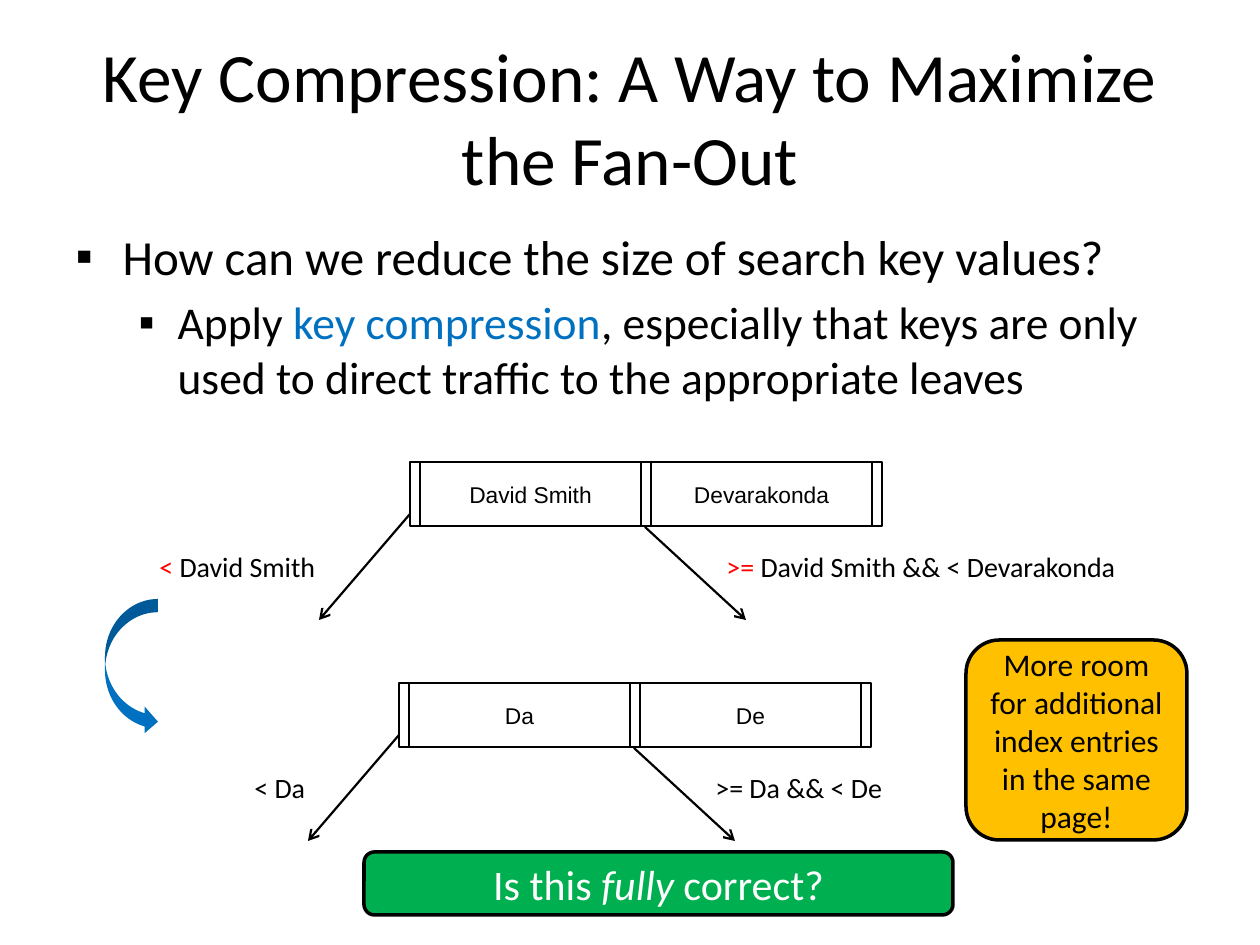
from pptx import Presentation
from pptx.util import Pt, Emu
from pptx.dml.color import RGBColor
from pptx.enum.shapes import MSO_SHAPE, MSO_CONNECTOR
from pptx.enum.text import PP_ALIGN, MSO_ANCHOR
from pptx.oxml.ns import qn
from lxml.etree import SubElement

BLACK = RGBColor(0, 0, 0)
WHITE = RGBColor(255, 255, 255)
RED = RGBColor(255, 0, 0)
BLUE = RGBColor(0, 0x70, 0xC0)
GOLD = RGBColor(255, 0xC0, 0)
GREEN = RGBColor(0, 0xB0, 0x50)
SCALE = 914400 / 126


def px(*values):
    """Turn pixel lengths into EMU."""
    return [Emu(round(v * SCALE)) for v in values]


def write(para, runs, size, color=BLACK, face="Calibri"):
    """Fill a paragraph with (text, colour) runs; None keeps its colour."""
    para.font.size = Pt(size)
    para.font.name = face
    para.font.color.rgb = color
    for text, tint in runs:
        run = para.add_run()
        run.text = text
        if tint is not None:
            run.font.color.rgb = tint


deck = Presentation()
deck.slide_width, deck.slide_height = px(1260, 945)
slide = deck.slides.add_slide(deck.slide_layouts[1])
shapes = slide.shapes

# Title and bullets
title, body = slide.placeholders
title.left, title.top, title.width, title.height = px(63, 38, 1134, 157)
title.text_frame.vertical_anchor = MSO_ANCHOR.MIDDLE
head = title.text_frame.paragraphs[0]
head.alignment = PP_ALIGN.CENTER
write(head, [("Key Compression: A Way to Maximize the Fan-Out", None)], 39.6)

body.left, body.top, body.width, body.height = px(63, 220, 1176, 683)
bullets = [
    (28, 47, 47, [("How can we reduce the size of search key values?", None)]),
    (26, 102, 39, [("Apply ", None), ("key compression", BLUE),
                   (", especially that keys are only used to direct traffic "
                    "to the appropriate leaves", None)]),
]
for level, (size, margin, hang, runs) in enumerate(bullets):
    frame = body.text_frame
    para = frame.add_paragraph() if level else frame.paragraphs[0]
    para.level = level
    write(para, runs, size)
    props = para._p.get_or_add_pPr()
    left, indent = px(margin, -hang)
    props.set("marL", str(left))
    props.set("indent", str(indent))
    mark = SubElement(props, qn("a:buChar"))
    mark.set("char", "▪")
    props.insert(0, mark)

# Index nodes: position, keys, and the labels of both branches
nodes = [
    (410, 462, ["David Smith", "Devarakonda"],
     (183, [("<", RED), (" David Smith", None)]),
     (420, [(">=", RED), (" David Smith && < Devarakonda", None)])),
    (399, 683, ["Da", "De"],
     (77, [("< Da", None)]),
     (194, [(">= Da && < De", None)])),
]
for x, y, keys, low, mid in nodes:
    for i, key in enumerate(keys):
        cell = shapes.add_shape(MSO_SHAPE.RECTANGLE,
                                *px(x + 231 * i, y, 241, 64))
        cell.shadow.inherit = False
        cell.fill.background()
        cell.line.color.rgb = BLACK
        cell.line.width = Pt(1)
        cell.text_frame.vertical_anchor = MSO_ANCHOR.MIDDLE
        para = cell.text_frame.paragraphs[0]
        para.alignment = PP_ALIGN.CENTER
        write(para, [(key, None)], 13, face="Arial")

    lines = [
        (10, 0, 10, 64, False),
        (462, 0, 462, 64, False),
        (0, 52, -91, 158, True),
        (235, 65, 336, 158, True),
    ]
    for x1, y1, x2, y2, arrow in lines:
        line = shapes.add_connector(MSO_CONNECTOR.STRAIGHT,
                                    *px(x + x1, y + y1, x + x2, y + y2))
        line.line.color.rgb = BLACK
        line.line.width = Pt(1.25 if arrow else 1)
        if arrow:
            SubElement(line.line._get_or_add_ln(), qn("a:tailEnd"), type="arrow")
        SubElement(line._element.spPr, qn("a:effectLst"))

    for left, (width, runs) in [(x - 80 - low[0], low), (x + 304, mid)]:
        label = shapes.add_textbox(*px(left, y + 81, width, 47))
        label.text_frame.word_wrap = False
        write(label.text_frame.paragraphs[0], runs, 16)

# Callouts
callouts = [
    (966, 640, 221, 200, GOLD, 18, BLACK,
     ["More room for additional index entries in the same page!"]),
    (364, 852, 589, 63, GREEN, 24, WHITE, ["Is this ", "fully", " correct?"]),
]
for x, y, w, h, fill, size, color, texts in callouts:
    box = shapes.add_shape(MSO_SHAPE.ROUNDED_RECTANGLE, *px(x, y, w, h))
    box.shadow.inherit = False
    box.fill.solid()
    box.fill.fore_color.rgb = fill
    box.line.color.rgb = BLACK
    box.line.width = Pt(2)
    box.text_frame.word_wrap = True
    box.text_frame.vertical_anchor = MSO_ANCHOR.MIDDLE
    para = box.text_frame.paragraphs[0]
    para.alignment = PP_ALIGN.CENTER
    write(para, [(text, None) for text in texts], size, color)
    for run in para.runs:
        if run.text == "fully":
            run.font.italic = True

# Arrow from the full keys to the short ones
curve = shapes.add_shape(MSO_SHAPE.CURVED_RIGHT_ARROW, *px(105, 599, 53, 136))
curve.shadow.inherit = False
curve.fill.solid()
curve.fill.fore_color.rgb = BLUE
curve.line.fill.background()

deck.save("out.pptx")
